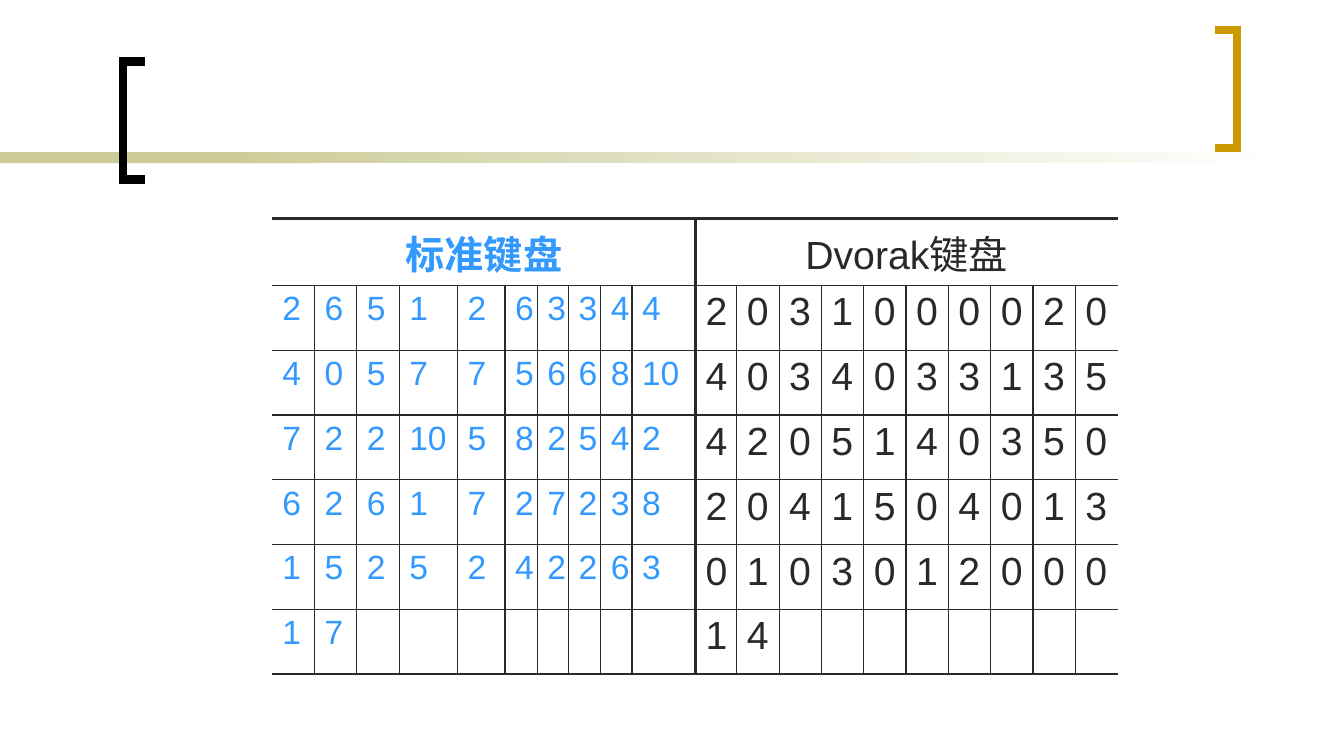
"""Build the slide comparing key counts on the standard and Dvorak keyboards."""
from dataclasses import dataclass

from lxml import etree
from pptx import Presentation
from pptx.dml.color import RGBColor
from pptx.enum.shapes import MSO_SHAPE
from pptx.enum.text import PP_ALIGN
from pptx.oxml.ns import qn
from pptx.slide import Slide
from pptx.table import Table, _Cell
from pptx.util import Inches, Length, Pt

RECTANGLE = MSO_SHAPE.RECTANGLE
CENTER = PP_ALIGN.CENTER
LEFT = PP_ALIGN.LEFT

GRID_COLUMNS, GRID_ROWS = 1333, 750
SLIDE_WIDTH, SLIDE_HEIGHT = Inches(13.33), Inches(7.5)
FONT = "Arial"
COLORS = {
    "sand": "CCCC99",
    "white": "FFFFFF",
    "black": "000000",
    "gold": "CC9900",
    "blue": "3399FF",
    "ink": "292929",
}
THIN, FRAME, DIVIDER = 1, 2.25, 3


@dataclass(frozen=True)
class Band:
    left: int
    width: int
    end_color: str


@dataclass(frozen=True)
class Bracket:
    tips: int
    spine: int
    top: int
    color: str


@dataclass(frozen=True)
class Keyboard:
    title: str
    color: str
    bold: bool
    size: int
    widths: list[int]
    counts: list[str]


BAND_TOP, BAND_HEIGHT = 151, 11
BRACKET_HEIGHT, BRACKET_WEIGHT = 117, 6
TABLE_LEFT, TABLE_TOP, TABLE_HEIGHT = 270, 217, 450
HEADER_SIZE = 28

BANDS = [Band(0, 311, "sand"), Band(211, 1056, "white")]
BRACKETS = [Bracket(144, 122, 61, "black"), Bracket(1205, 1227, 30, "gold")]
KEYBOARDS = [
    Keyboard(
        "标准键盘", "blue", True, 24,
        [42, 42, 42, 58, 47, 32, 31, 32, 31, 63],
        ["2 6 5 1 2 6 3 3 4 4", "4 0 5 7 7 5 6 6 8 10", "7 2 2 10 5 8 2 5 4 2",
         "6 2 6 1 7 2 7 2 3 8", "1 5 2 5 2 4 2 2 6 3", "1 7"],
    ),
    Keyboard(
        "Dvorak键盘", "ink", False, 28,
        [41] + [42] * 9,
        ["2 0 3 1 0 0 0 0 2 0", "4 0 3 4 0 3 3 1 3 5", "4 2 0 5 1 4 0 3 5 0",
         "2 0 4 1 5 0 4 0 1 3", "0 1 0 3 0 1 2 0 0 0", "1 4"],
    ),
]


def x(columns: float) -> Length:
    """Convert grid columns to a length."""
    return Length(round(SLIDE_WIDTH * columns / GRID_COLUMNS))


def y(rows: float) -> Length:
    """Convert grid rows to a length."""
    return Length(round(SLIDE_HEIGHT * rows / GRID_ROWS))


def color(name: str) -> RGBColor:
    """Look up a named colour."""
    return RGBColor.from_string(COLORS[name])


def draw_band(slide: Slide, band: Band) -> None:
    """Draw one part of the fading horizontal band."""
    shape = slide.shapes.add_shape(
        RECTANGLE, x(band.left), y(BAND_TOP), x(band.width), y(BAND_HEIGHT)
    )
    shape.shadow.inherit = False
    shape.line.fill.background()
    if band.end_color == "sand":
        shape.fill.solid()
        shape.fill.fore_color.rgb = color("sand")
        return
    shape.fill.gradient()
    shape.fill.gradient_angle = 0
    for stop, position, name in zip(
        shape.fill.gradient_stops, (0, 1), ("sand", band.end_color)
    ):
        stop.position = position
        stop.color.rgb = color(name)


def draw_bracket(slide: Slide, bracket: Bracket) -> None:
    """Draw an open square bracket with sharp corners."""
    top, bottom = y(bracket.top), y(bracket.top + BRACKET_HEIGHT)
    tips, spine = x(bracket.tips), x(bracket.spine)
    builder = slide.shapes.build_freeform(tips, top)
    builder.add_line_segments(
        [(spine, top), (spine, bottom), (tips, bottom)], close=False
    )
    shape = builder.convert_to_shape()
    shape.shadow.inherit = False
    shape.fill.background()
    shape.line.color.rgb = color(bracket.color)
    shape.line.width = Pt(BRACKET_WEIGHT)
    outline = shape.element.spPr.find(qn("a:ln"))
    etree.SubElement(outline, qn("a:miter"), lim="800000")


def set_borders(cell: _Cell, weights: dict[str, float]) -> None:
    """Set the four cell borders, where a zero weight hides a border."""
    cell.fill.background()
    properties = cell._tc.get_or_add_tcPr()
    for index, (side, weight) in enumerate(weights.items()):
        border = etree.Element(qn(f"a:ln{side}"), w=str(int(Pt(weight))))
        if weight:
            fill = etree.SubElement(border, qn("a:solidFill"))
            etree.SubElement(fill, qn("a:srgbClr"), val=COLORS["ink"])
        else:
            etree.SubElement(border, qn("a:noFill"))
        properties.insert(index, border)


def write(cell: _Cell, text: str, size: int, keyboard: Keyboard, header: bool) -> None:
    """Write and format the text of one cell."""
    cell.text_frame.text = text
    paragraph = cell.text_frame.paragraphs[0]
    paragraph.alignment = CENTER if header else LEFT
    font = paragraph.runs[0].font
    font.name, font.size = FONT, Pt(size)
    font.bold = header and keyboard.bold
    font.color.rgb = color(keyboard.color)


def rule_table(table: Table, row_count: int, widths: list[int], group: int) -> None:
    """Give every cell its borders from its place in the table."""
    column_count = len(widths)
    edges = {0: 0, group: DIVIDER, column_count: 0}
    for row in range(row_count):
        for column in range(column_count):
            inner = THIN if row else 0
            set_borders(table.cell(row, column), {
                "L": edges.get(column, inner),
                "R": edges.get(column + 1, inner),
                "T": THIN if row else FRAME,
                "B": FRAME if row == row_count - 1 else THIN,
            })


def draw_table(slide: Slide) -> None:
    """Draw both keyboards side by side in one table."""
    widths = [width for keyboard in KEYBOARDS for width in keyboard.widths]
    row_count = len(KEYBOARDS[0].counts) + 1
    group = len(KEYBOARDS[0].widths)
    table = slide.shapes.add_table(
        row_count, len(widths), x(TABLE_LEFT), y(TABLE_TOP),
        x(sum(widths)), y(TABLE_HEIGHT),
    ).table
    table.first_row = table.horz_banding = False
    for table_column, width in zip(table.columns, widths):
        table_column.width = x(width)
    rule_table(table, row_count, widths, group)
    for index, keyboard in enumerate(KEYBOARDS):
        first = index * group
        title = table.cell(0, first)
        title.merge(table.cell(0, first + group - 1))
        write(title, keyboard.title, HEADER_SIZE, keyboard, True)
        for row, counts in enumerate(keyboard.counts, start=1):
            for column, count in enumerate(counts.split(), start=first):
                write(table.cell(row, column), count, keyboard.size, keyboard, False)


def main() -> None:
    """Build and save the presentation."""
    presentation = Presentation()
    presentation.slide_width, presentation.slide_height = SLIDE_WIDTH, SLIDE_HEIGHT
    slide = presentation.slides.add_slide(presentation.slide_layouts[6])
    for band in BANDS:
        draw_band(slide, band)
    for bracket in BRACKETS:
        draw_bracket(slide, bracket)
    draw_table(slide)
    presentation.save("out.pptx")


if __name__ == "__main__":
    main()
